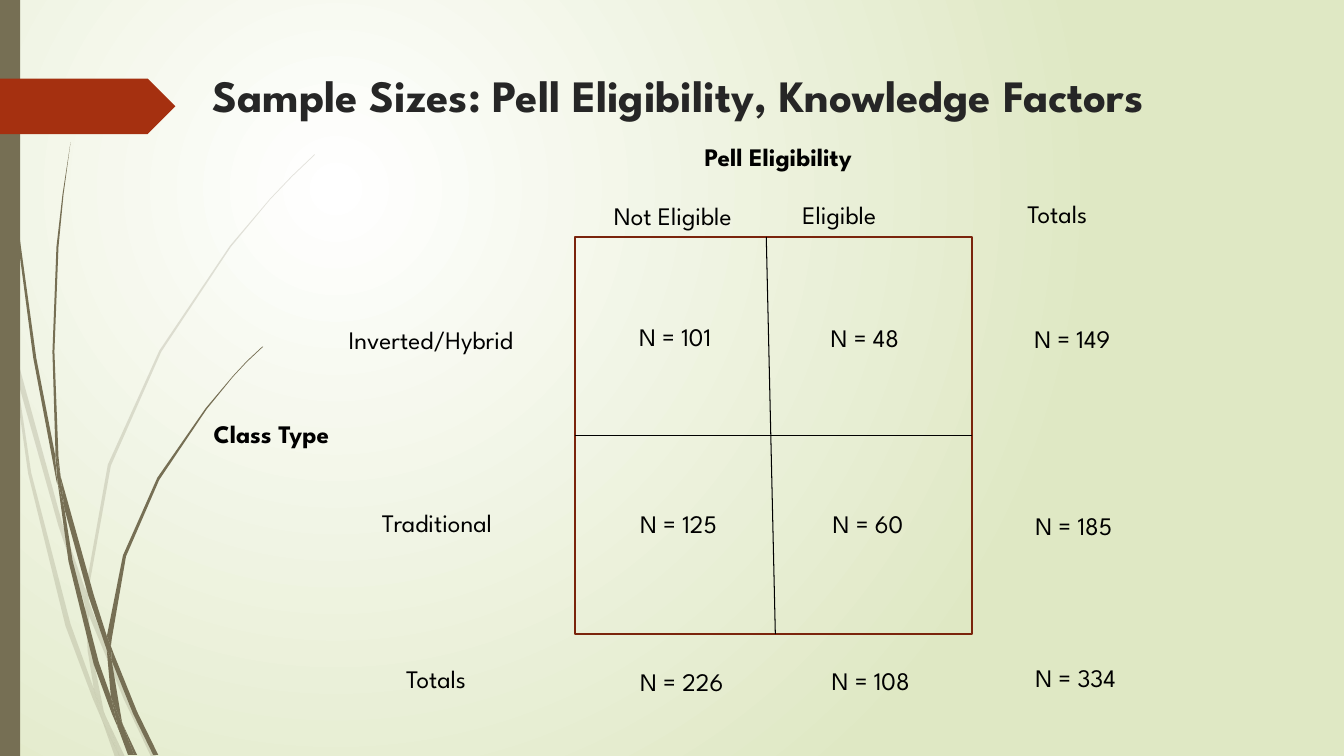
"""Build a slide of sample sizes by class type and Pell eligibility."""
from dataclasses import dataclass

from lxml.etree import SubElement
from pptx import Presentation
from pptx.dml.color import RGBColor
from pptx.enum.shapes import MSO_CONNECTOR, MSO_SHAPE
from pptx.enum.text import MSO_ANCHOR, MSO_AUTO_SIZE, PP_ALIGN
from pptx.oxml.ns import qn
from pptx.shapes.autoshape import Shape
from pptx.shapes.connector import Connector
from pptx.slide import Slide
from pptx.text.text import TextFrame
from pptx.util import Inches, Pt

Point = tuple[float, float]


@dataclass(frozen=True)
class Theme:
    font: str = "League Spartan"
    title_size: float = 32
    label_size: float = 18
    frame_width: float = 1.25
    divider_width: float = 0.75
    glow: str = "FFFFFF"
    backdrop: str = "DFE8C4"
    stalk: str = "766F54"
    flag: str = "A53010"
    frame: str = "7A240C"
    title: str = "262626"
    ink: str = "000000"


@dataclass(frozen=True)
class Label:
    text: str
    left: float
    top: float
    width: float
    bold: bool = False


@dataclass(frozen=True)
class Grass:
    opacity: int
    blades: list[list[Point]]


THEME = Theme()
LABEL_HEIGHT = 0.4
FRAME_LEFT, FRAME_TOP, FRAME_SIDE = 5.7, 2.35, 3.94

LABELS = [
    Label("Pell Eligibility", 6.89, 1.35, 1.75, bold=True),
    Label("Not Eligible", 5.99, 1.94, 1.56),
    Label("Eligible", 7.86, 1.93, 1.05),
    Label("Totals", 10.09, 1.92, 0.88),
    Label("Class Type", 2.02, 4.1, 1.5, bold=True),
    Label("Inverted/Hybrid", 3.36, 3.17, 2.11),
    Label("N = 101", 6.24, 3.14, 1.17),
    Label("N = 48", 8.14, 3.15, 1.03),
    Label("N = 149", 10.16, 3.16, 1.1),
    Label("Traditional", 3.69, 4.98, 1.46),
    Label("N = 125", 6.25, 4.99, 1.1),
    Label("N = 60", 8.16, 4.99, 0.96),
    Label("N = 185", 10.17, 5.01, 1.17),
    Label("Totals", 3.93, 6.53, 0.88),
    Label("N = 226", 6.25, 6.56, 1.24),
    Label("N = 108", 8.15, 6.55, 1.17),
    Label("N = 334", 10.17, 6.52, 1.17),
]

PALE_GRASS = Grass(20, [
    [(0.11, 3.5), (0.09, 3.22), (0, 2.82), (0, 2.99), (0.1, 3.44)],
    [(0.58, 5.22), (0.84, 5.99), (0.85, 5.86), (0.62, 5.2), (0.14, 3.45), (0.17, 3.76)],
    [(0.92, 6.07), (0.88, 5.96), (0.88, 6.1), (1.23, 6.94), (1.5, 7.51), (1.55, 7.51), (1.27, 6.92)],
    [(1.19, 7.51), (1.24, 7.51), (1.05, 7.11)],
    [(0.93, 6.83), (0.7, 6.19), (0.31, 4.69), (0.17, 3.76), (0.11, 3.5), (0.28, 4.7), (0.65, 6.21),
     (0.92, 6.93), (1.01, 7.14), (0.99, 7.07)],
    [(0.84, 5.99), (0.87, 6.46), (0.93, 6.83), (0.96, 6.92), (1.05, 7.11), (1.03, 7.06), (0.91, 6.46),
     (0.88, 6.1), (0.88, 6.08)],
    [(0.88, 5.84), (1.1, 4.62), (1.6, 3.49), (2.29, 2.45), (2.68, 1.98), (2.9, 1.75), (3.12, 1.54),
     (3.12, 1.53), (2.89, 1.75), (2.68, 1.97), (2.28, 2.44), (1.58, 3.48), (1.07, 4.61), (0.85, 5.84),
     (0.85, 5.86), (0.88, 5.96)],
    [(1.01, 7.14), (1.14, 7.51), (1.19, 7.51)],
    [(0.88, 6.08), (0.88, 6.1), (0.88, 5.96), (0.85, 5.86), (0.84, 5.99)],
    [(0.96, 6.92), (0.93, 6.83), (0.99, 7.07), (1.01, 7.14), (1.19, 7.51), (1.05, 7.11)],
])

DARK_GRASS = Grass(100, [
    [(0.07, 1.1), (0.17, 2.33), (0.33, 3.55), (0.56, 4.77), (0.57, 4.81), (0.55, 4.57), (0.55, 4.53),
     (0.36, 3.55), (0.19, 2.32), (0.08, 1.09), (0.05, 0.48), (0.04, 0), (0.03, 0), (0.04, 0.48)],
    [(0.88, 5.92), (1.06, 6.45), (1.06, 6.33), (1.06, 6.31), (0.93, 5.9), (0.6, 4.72), (0.64, 5.05)],
    [(1.13, 6.49), (1.1, 6.41), (1.11, 6.56), (1.32, 7.08), (1.52, 7.49), (1.57, 7.49), (1.36, 7.06)],
    [(1.1, 6.91), (0.98, 6.57), (0.72, 5.56), (0.64, 5.05), (0.57, 4.77), (0.68, 5.57), (0.93, 6.59),
     (1.11, 7.08), (1.17, 7.22), (1.16, 7.17)],
    [(0.6, 4.72), (0.58, 4.53), (0.54, 3.49), (0.58, 2.45), (0.63, 1.93), (0.7, 1.41), (0.62, 1.93),
     (0.56, 2.45), (0.52, 3.49), (0.55, 4.49)],
    [(1.33, 7.49), (1.36, 7.49), (1.22, 7.19)],
    [(0.57, 4.77), (0.64, 5.05), (0.6, 4.72), (0.55, 4.49), (0.55, 4.53)],
    [(1.11, 6.33), (1.25, 5.52), (1.58, 4.76), (2.05, 4.06), (2.31, 3.74), (2.45, 3.59), (2.61, 3.44),
     (2.6, 3.44), (2.45, 3.58), (2.31, 3.73), (2.04, 4.05), (1.56, 4.74), (1.22, 5.51), (1.06, 6.31),
     (1.1, 6.41)],
    [(1.17, 7.22), (1.27, 7.49), (1.31, 7.49)],
    [(1.06, 6.45), (1.1, 6.91), (1.16, 7.06), (1.22, 7.19), (1.21, 7.16), (1.11, 6.56), (1.09, 6.51)],
    [(1.06, 6.45), (1.09, 6.51), (1.11, 6.56), (1.1, 6.41), (1.06, 6.31)],
    [(1.16, 7.06), (1.1, 6.91), (1.16, 7.17), (1.17, 7.22), (1.3, 7.49), (1.33, 7.49), (1.22, 7.19)],
])


def color(code: str) -> RGBColor:
    return RGBColor.from_string(code)


def paint(shape: Shape, fill: str) -> None:
    shape.shadow.inherit = False
    shape.fill.solid()
    shape.fill.fore_color.rgb = color(fill)
    shape.line.fill.background()


def paint_background(page: Slide) -> None:
    fill = page.background.fill
    fill.gradient()
    for stop, code in zip(fill.gradient_stops, (THEME.glow, THEME.backdrop)):
        stop.color.rgb = color(code)
    linear = next(page.background._cSld.iter(qn("a:lin")))
    gradient = linear.getparent()
    gradient.remove(linear)
    circle = SubElement(gradient, qn("a:path"), {"path": "circle"})
    SubElement(circle, qn("a:fillToRect"), {"l": "50000", "t": "50000", "r": "100000", "b": "100000"})


def draw_grass(page: Slide, grass: Grass) -> None:
    for blade in grass.blades:
        start, *others = [(Inches(x), Inches(y)) for x, y in blade]
        builder = page.shapes.build_freeform(*start)
        builder.add_line_segments(others, close=True)
        shape = builder.convert_to_shape()
        paint(shape, THEME.stalk)
        if grass.opacity < 100:
            swatch = next(shape.fill._xPr.iter(qn("a:srgbClr")))
            SubElement(swatch, qn("a:alpha"), {"val": str(grass.opacity * 1000)})


def draw_block(page: Slide, kind: MSO_SHAPE, left: float, top: float, width: float, height: float) -> Shape:
    return page.shapes.add_shape(kind, Inches(left), Inches(top), Inches(width), Inches(height))


def write(frame: TextFrame, text: str, *, size: float, ink: str, bold: bool = False) -> None:
    para = frame.paragraphs[0]
    para.alignment = PP_ALIGN.LEFT
    span = para.add_run()
    span.text = text
    span.font.name, span.font.size, span.font.bold = THEME.font, Pt(size), bold
    span.font.color.rgb = color(ink)


def draw_title(page: Slide, text: str) -> None:
    title = page.shapes.title
    title.left, title.top, title.width, title.height = map(Inches, (2.01, 0.62, 12.17, 1.4))
    title.text_frame.auto_size = MSO_AUTO_SIZE.NONE
    title.text_frame.vertical_anchor = MSO_ANCHOR.TOP
    write(title.text_frame, text, size=THEME.title_size, ink=THEME.title, bold=True)


def draw_label(page: Slide, label: Label) -> None:
    box = page.shapes.add_textbox(*map(Inches, (label.left, label.top, label.width, LABEL_HEIGHT)))
    box.text_frame.word_wrap = False
    box.text_frame.auto_size = MSO_AUTO_SIZE.SHAPE_TO_FIT_TEXT
    write(box.text_frame, label.text, size=THEME.label_size, ink=THEME.ink, bold=label.bold)


def draw_divider(page: Slide, start: Point, end: Point) -> Connector:
    divider = page.shapes.add_connector(MSO_CONNECTOR.STRAIGHT, *map(Inches, (*start, *end)))
    divider.line.color.rgb = color(THEME.ink)
    divider.line.width = Pt(THEME.divider_width)
    SubElement(divider._element.spPr, qn("a:effectLst"))
    return divider


def draw_grid(page: Slide) -> None:
    frame = draw_block(page, MSO_SHAPE.RECTANGLE, FRAME_LEFT, FRAME_TOP, FRAME_SIDE, FRAME_SIDE)
    frame.shadow.inherit = False
    frame.fill.background()
    frame.line.color.rgb = color(THEME.frame)
    frame.line.width = Pt(THEME.frame_width)
    draw_divider(page, (7.6, FRAME_TOP), (7.69, FRAME_TOP + FRAME_SIDE))
    middle = FRAME_TOP + FRAME_SIDE / 2
    across = draw_divider(page, (FRAME_LEFT, middle), (FRAME_LEFT + FRAME_SIDE, middle))
    across.begin_connect(frame, 1)
    across.end_connect(frame, 3)


def main() -> None:
    deck = Presentation()
    deck.slide_width, deck.slide_height = Inches(13.33), Inches(7.5)
    page = deck.slides.add_slide(deck.slide_layouts[5])
    paint_background(page)
    for grass in (PALE_GRASS, DARK_GRASS):
        draw_grass(page, grass)
    paint(draw_block(page, MSO_SHAPE.RECTANGLE, 0, 0, 0.2, 7.5), THEME.stalk)
    paint(draw_block(page, MSO_SHAPE.PENTAGON, 0, 0.78, 1.74, 0.55), THEME.flag)
    draw_title(page, "Sample Sizes: Pell Eligibility, Knowledge Factors")
    draw_grid(page)
    for label in LABELS:
        draw_label(page, label)
    deck.save("out.pptx")


if __name__ == "__main__":
    main()
